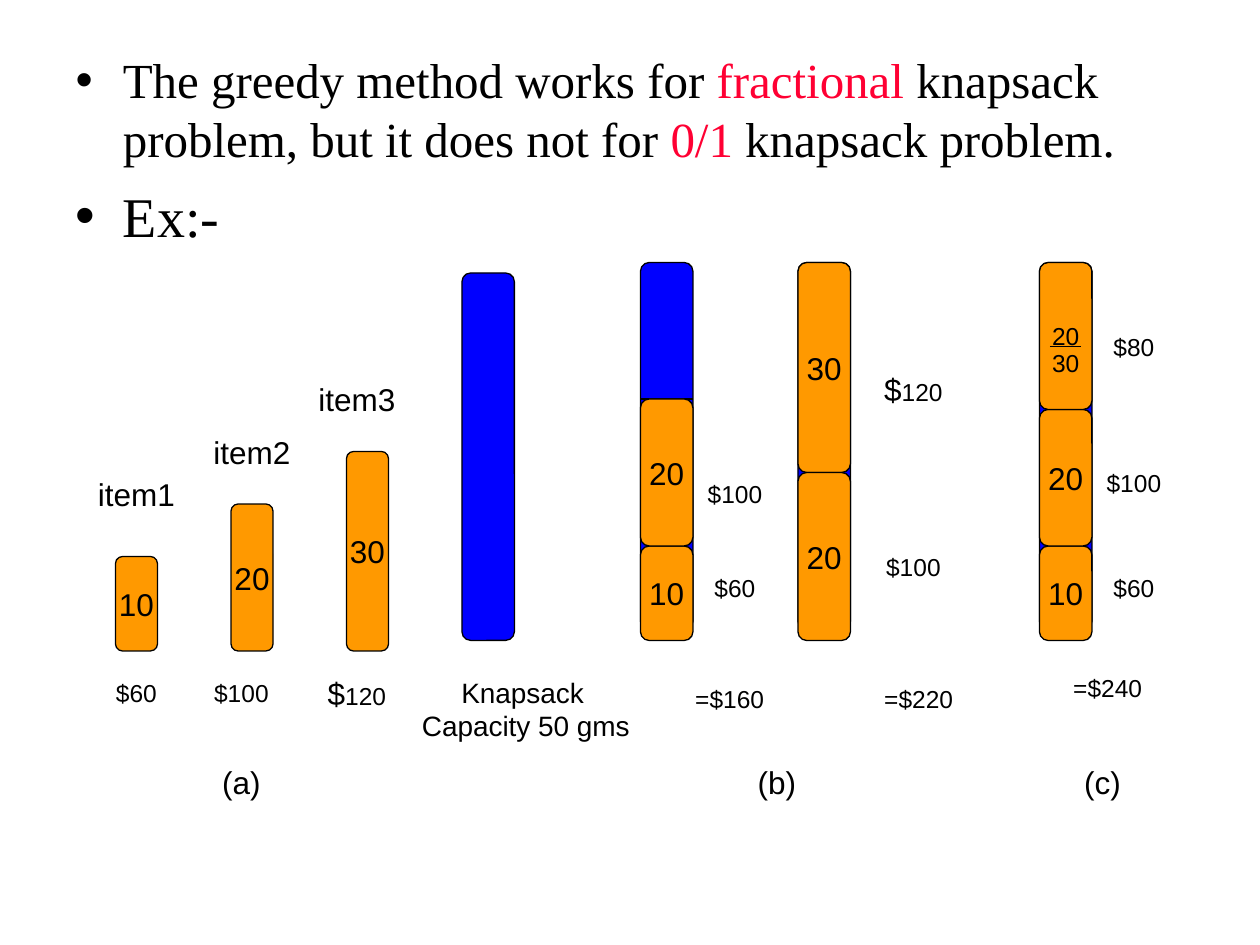
from lxml import etree
from pptx import Presentation
from pptx.dml.color import RGBColor
from pptx.enum.shapes import MSO_CONNECTOR, MSO_SHAPE
from pptx.enum.text import MSO_ANCHOR, MSO_AUTO_SIZE, PP_ALIGN
from pptx.oxml.ns import qn
from pptx.util import Pt

PX = 9525  # 96 px to the inch
RECT, ROUNDED = MSO_SHAPE.RECTANGLE, MSO_SHAPE.ROUNDED_RECTANGLE
STRAIGHT = MSO_CONNECTOR.STRAIGHT
LEFT, CENTER = PP_ALIGN.LEFT, PP_ALIGN.CENTER
MIDDLE, NO_FIT = MSO_ANCHOR.MIDDLE, MSO_AUTO_SIZE.NONE

COLORS = {"black": "000000", "white": "FFFFFF", "red": "FF0033",
          "item": "FF9900", "sack": "0000FF"}
LINE_WIDTH = 0.75
SACK_WIDTH, SACK_HEIGHT = 40, 280
ITEM_WIDTH, ITEM_BOTTOM = 32, 496


def color(name):
    return RGBColor.from_string(COLORS[name])


def add_runs(para, runs, font_name):
    for text, size, color_name in runs:
        span = para.add_run()
        span.text = text
        span.font.name = font_name
        span.font.size = Pt(size)
        span.font.color.rgb = color(color_name)


def add_box(page, kind, left, top, width, height, fill, line):
    box = page.shapes.add_shape(kind, left * PX, top * PX, width * PX, height * PX)
    box.shadow.inherit = False
    box.fill.solid()
    box.fill.fore_color.rgb = color(fill)
    box.line.color.rgb = color(line)
    box.line.width = Pt(LINE_WIDTH)
    frame = box.text_frame
    frame.word_wrap = False
    frame.vertical_anchor = MIDDLE
    return box


def write(box, *pieces):
    """Put one centred line of (text, size) pieces in a box."""
    para = box.text_frame.paragraphs[0]
    para.alignment = CENTER
    add_runs(para, [(text, size, "black") for text, size in pieces], "Arial")


def add_label(page, left, top, width, height, *pieces):
    write(add_box(page, RECT, left, top, width, height, "white", "white"), *pieces)


def add_bar(page, left, top, width, height, text, size=18):
    write(add_box(page, ROUNDED, left, top, width, height, "item", "black"),
          (text, size))


def add_sack(page, left, top):
    add_box(page, ROUNDED, left, top, SACK_WIDTH, SACK_HEIGHT, "sack", "black")


def add_line(page, left, top, width):
    line = page.shapes.add_connector(STRAIGHT, left * PX, top * PX,
                                     (left + width) * PX, top * PX)
    line.line.color.rgb = color("black")
    line.line.width = Pt(LINE_WIDTH)
    etree.SubElement(line._element.spPr, qn("a:effectLst"))


def add_bullets(page):
    title, body = page.shapes.title, page.placeholders[1]
    title._element.getparent().remove(title._element)
    body.left, body.top, body.width, body.height = (
        length * PX for length in (48, 29, 864, 475))
    frame = body.text_frame
    frame.word_wrap = True
    frame.auto_size = NO_FIT
    frame.margin_top = 9 * PX
    bullets = [
        [("The greedy method works for ", 28, "black"),
         ("fractional", 28, "red"),
         (" knapsack problem, but it does not for ", 28, "black"),
         ("0/1", 28, "red"),
         (" knapsack problem.", 28, "black")],
        [("Ex:-", 32, "black")],
    ]
    for index, runs in enumerate(bullets):
        para = frame.add_paragraph() if index else frame.paragraphs[0]
        props = para._p.get_or_add_pPr()
        props.set("marL", str(36 * PX))
        props.set("indent", str(-36 * PX))
        tint = etree.SubElement(props, qn("a:buClr"))
        etree.SubElement(tint, qn("a:srgbClr")).set("val", COLORS["black"])
        etree.SubElement(props, qn("a:buChar")).set("char", "•")
        para.space_before = Pt(8 * index)
        add_runs(para, runs, "Times New Roman")


def add_capacity(page):
    box = add_box(page, RECT, 312, 520, 168, 40, "white", "white")
    frame = box.text_frame
    for index, (text, indent) in enumerate([("Knapsack", 30), ("Capacity 50 gms", 0)]):
        para = frame.add_paragraph() if index else frame.paragraphs[0]
        para._p.get_or_add_pPr().set("marL", str(indent * PX))
        para.alignment = LEFT
        add_runs(para, [(text, 16, "black")], "Arial")


def main():
    deck = Presentation()
    deck.slide_width, deck.slide_height = 960 * PX, 720 * PX
    page = deck.slides.add_slide(deck.slide_layouts[1])
    add_bullets(page)

    # (a) Items standing on one base line, and the empty knapsack
    for left, height, weight in [(88, 72, "10"), (176, 112, "20"), (264, 152, "30")]:
        add_bar(page, left, ITEM_BOTTOM - height, ITEM_WIDTH, height, weight)
    for left, top, name in [(80, 360, "item1"), (168, 328, "item2"), (248, 288, "item3")]:
        add_label(page, left, top, 48, 32, (name, 18))
    add_sack(page, 352, 208)
    add_capacity(page)

    # (b), (c) Filled knapsacks: left, then bars as (top, height, weight, size)
    add_sack(page, 488, 200)
    add_line(page, 488, 304, SACK_WIDTH)
    for left in (608, 792):
        add_sack(page, left, 200)
    fillings = {
        488: [(416, 72, "10", 18), (304, 112, "20", 18)],
        608: [(200, 160, "30", 18), (360, 128, "20", 18)],
        792: [(416, 72, "10", 18), (312, 104, "20", 18), (200, 112, "20", 14)],
    }
    for left, bars in fillings.items():
        for top, height, weight, size in bars:
            add_bar(page, left, top, SACK_WIDTH, height, weight, size)

    # Denominator and rule of the fraction 20/30
    write(add_box(page, RECT, 800, 264, 24, 24, "item", "item"), ("30", 14))
    add_line(page, 800, 264, 24)

    # Prices
    prices = [(80, 512, "$60"), (160, 512, "$100"),
              (536, 360, "$100"), (536, 432, "$60"), (672, 416, "$100"),
              (840, 432, "$60"), (840, 352, "$100"), (840, 248, "$80")]
    for left, top, price in prices:
        add_label(page, left, top, 48, 32, (price, 14))
    for left, top in [(248, 512), (672, 280)]:
        add_label(page, left, top, 48, 32, ("$", 18), ("120", 14))

    # Totals and part names
    for left, top, total in [(520, 512, "=$160"), (664, 512, "=$220"), (808, 504, "=$240")]:
        add_label(page, left, top, 72, 40, (total, 14))
    for left, name in [(160, "(a)"), (568, "(b)"), (816, "(c)")]:
        add_label(page, left, 576, 48, 40, (name, 18))

    deck.save("out.pptx")


if __name__ == "__main__":
    main()
